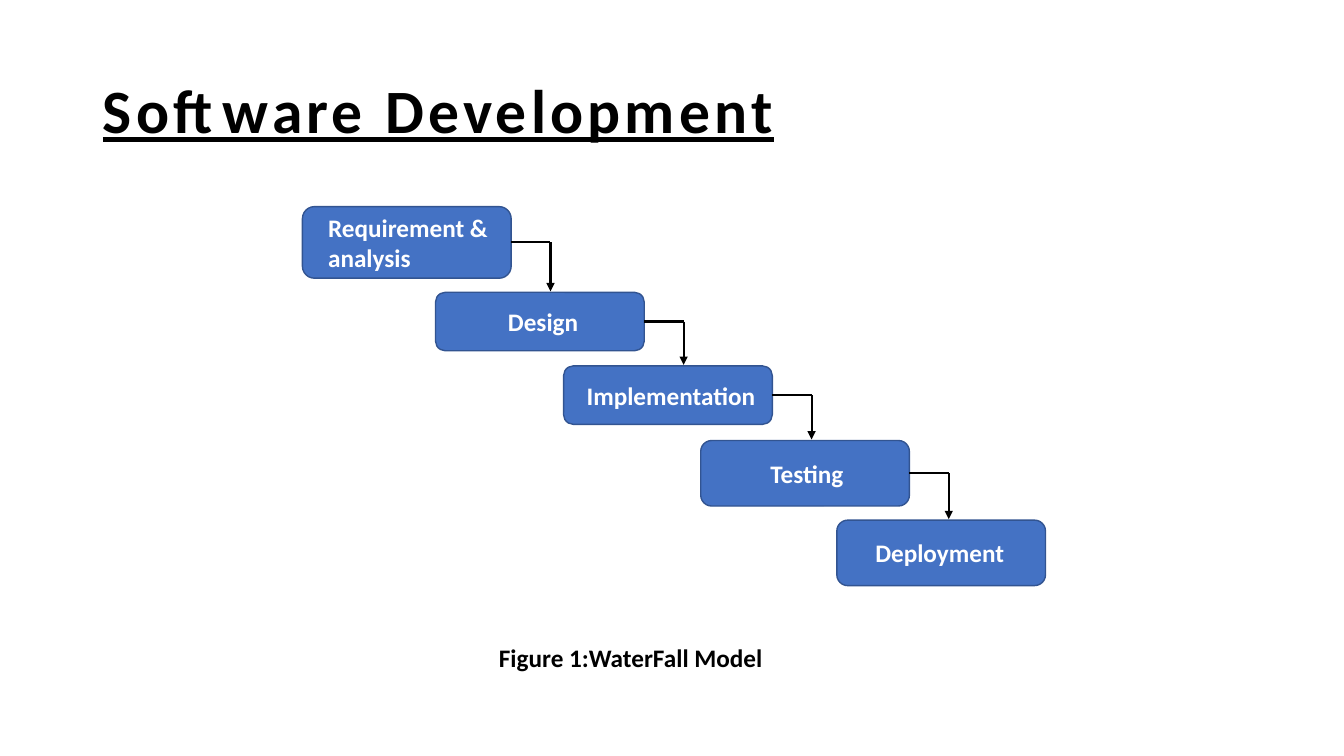
from itertools import pairwise

from pptx import Presentation
from pptx.dml.color import RGBColor
from pptx.enum.shapes import MSO_CONNECTOR as CONNECTOR, MSO_SHAPE as SHAPE
from pptx.enum.text import MSO_ANCHOR as ANCHOR, MSO_AUTO_SIZE as AUTO_SIZE, PP_ALIGN as ALIGN
from pptx.oxml.ns import qn
from pptx.util import Inches, Pt

COLORS = {"ink": "000000", "label": "FFFFFF", "phase": "4472C4", "border": "325491"}
PHASE_WIDTH = 2.07
ARROW_REACH = 0.39
ARROW_GAP = 0.01
PHASES = [
    ("Requirement & analysis", 3, 2.05, 0.71, 0.22),
    ("Design", 4.32, 2.9, 0.58, 0.69),
    ("Implementation", 5.59, 3.63, 0.58, 0.2),
    ("Testing", 6.95, 4.37, 0.65, 0.66),
    ("Deployment", 8.3, 5.16, 0.65, 0.35),
]


def color(name):
    return RGBColor.from_string(COLORS[name])


def set_attributes(target, values):
    for name, value in values.items():
        setattr(target, name, value)


def write(frame, text, size, ink, anchor, **font_values):
    set_attributes(frame, {"word_wrap": True, "vertical_anchor": anchor})
    paragraph = frame.paragraphs[0]
    paragraph.alignment = ALIGN.LEFT
    run = paragraph.add_run()
    run.text = text
    set_attributes(run.font, {"name": "Calibri", "size": Pt(size), "bold": True, **font_values})
    run.font.color.rgb = color(ink)
    return paragraph, run


def add_title(slide, text):
    title = slide.shapes.title
    set_attributes(title, {"left": Inches(0.92), "top": Inches(0.4),
                           "width": Inches(11.5), "height": Inches(1.45)})
    title.text_frame.auto_size = AUTO_SIZE.NONE
    paragraph, run = write(title.text_frame, text, 44, "ink", ANCHOR.MIDDLE, underline=True)
    paragraph.line_spacing = 0.9
    run.font._element.set("spc", "300")


def add_phase(slide, text, left, top, height, indent):
    phase = slide.shapes.add_shape(SHAPE.ROUNDED_RECTANGLE, Inches(left), Inches(top),
                                   Inches(PHASE_WIDTH), Inches(height))
    phase.shadow.inherit = False
    phase.fill.solid()
    phase.fill.fore_color.rgb = color("phase")
    phase.line.color.rgb = color("border")
    phase.line.width = Pt(1)
    set_attributes(phase.text_frame, {"margin_left": Inches(indent), "margin_right": 0})
    write(phase.text_frame, text, 18, "label", ANCHOR.MIDDLE)
    return phase


def add_line(slide, start, end, arrow=False):
    line = slide.shapes.add_connector(CONNECTOR.STRAIGHT, *start, *end)
    line.line.color.rgb = color("ink")
    line.line.width = Pt(1.5)
    if arrow:
        tail = line.line._get_or_add_ln().makeelement(qn("a:tailEnd"), {"type": "triangle"})
        line.line._get_or_add_ln().append(tail)
    properties = line._element.spPr
    properties.append(properties.makeelement(qn("a:effectLst"), {}))
    return line


def add_step(slide, phase, following):
    side = phase.left + phase.width
    middle = phase.top + phase.height // 2
    corner = (side + Inches(ARROW_REACH), middle)
    across = add_line(slide, (side, middle), corner)
    across.begin_connect(phase, 3)
    add_line(slide, corner, (corner[0], following.top - Inches(ARROW_GAP)), arrow=True)


def add_caption(slide, text):
    caption = slide.shapes.add_textbox(Inches(4.85), Inches(6.32), Inches(3.09), Inches(0.4))
    write(caption.text_frame, text, 18, "ink", ANCHOR.TOP)


def main():
    deck = Presentation()
    set_attributes(deck, {"slide_width": Inches(13.33), "slide_height": Inches(7.5)})
    slide = deck.slides.add_slide(deck.slide_layouts.get_by_name("Title Only"))
    add_title(slide, "Software Development")
    phases = [add_phase(slide, *phase) for phase in PHASES]
    for phase, following in pairwise(phases):
        add_step(slide, phase, following)
    add_caption(slide, "Figure 1:WaterFall Model")
    deck.save("out.pptx")


if __name__ == "__main__":
    main()
